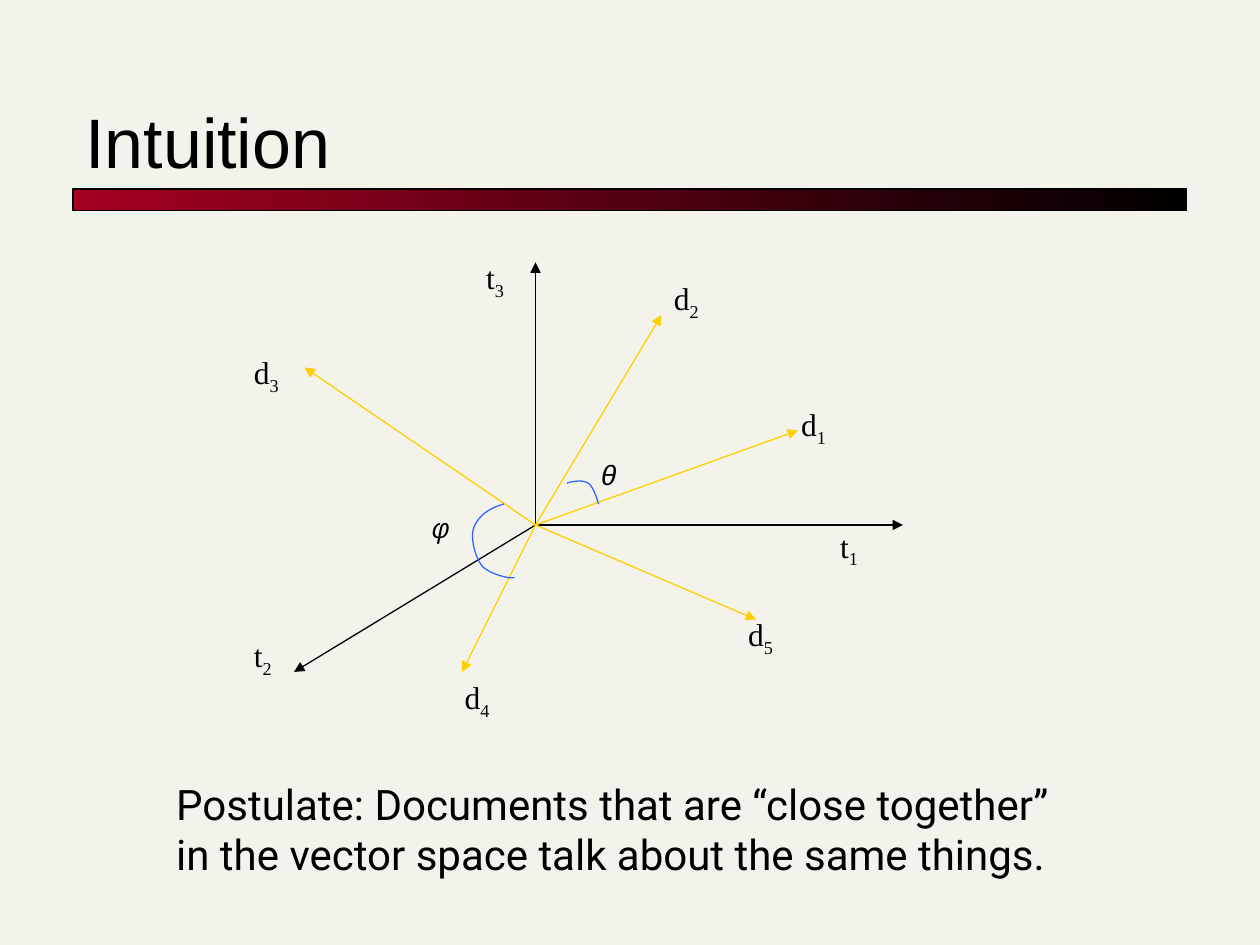
from lxml.etree import SubElement
from pptx import Presentation
from pptx.dml.color import RGBColor
from pptx.enum.shapes import MSO_CONNECTOR as Connector, MSO_SHAPE as Shape
from pptx.enum.text import MSO_ANCHOR as Anchor, MSO_AUTO_SIZE as AutoSize
from pptx.oxml.ns import qn
from pptx.util import Inches, Pt

CELL = 1 / 12
BLACK, GOLD, BLUE = "000000", "FFCF01", "3366FF"

AXES = [(35, 0), (0, -25), (-23, 14)]
VECTORS = [(25, -9), (21, 9), (12, -20), (-7, 14), (-22, -15)]
LABELS = [
    ("t", "1", 27.84, -0.44), ("d", "2", 12, -24), ("d", "1", 24.12, -12),
    ("d", "3", -28, -17), ("d", "4", -7.92, 14), ("d", "5", 19.08, 8),
    ("t", "3", -5.88, -26), ("t", "2", -28, 10),
]
LABEL_WIDTHS = {"t": 0.34, "d": 0.4}
ANGLES = [("θ", 5, -7), ("φ", -11, -2)]
ARCS = [
    [(3, -4), (3.72, -4.2), (4.44, -4.3), (5, -4),
     (5.5, -3.7), (5.9, -2.4), (6, -2)],
    [(-3, -2), (-3.7, -1.8), (-4.4, -1.5), (-5, -1),
     (-5.5, -0.5), (-6, 0.1), (-6, 1), (-6, 1.9), (-5.65, 3.3), (-5, 4),
     (-4.3, 4.7), (-2.3, 5.2), (-2, 5)],
]


def color(value):
    return RGBColor.from_string(value)


def style_line(line, value):
    line.color.rgb = color(value)
    line.width = Pt(0.75)


def style_span(span, font, size, italic=False):
    span.font.name = font
    span.font.size = Pt(size)
    span.font.italic = italic
    span.font.color.rgb = color(BLACK)


def add_text(page, box, lines, font, size, wrap=False, italic=False):
    frame = page.shapes.add_textbox(*map(Inches, box)).text_frame
    frame.word_wrap = wrap
    frame.auto_size = AutoSize.NONE
    frame.text = "\n".join(lines)
    for para in frame.paragraphs:
        for span in para.runs:
            style_span(span, font, size, italic)
    return frame


def add_heading(page, box):
    left, top, width, height = box
    rule_height = 0.17
    bar = page.shapes.add_shape(
        Shape.RECTANGLE, *map(Inches, (left, top + height, width, rule_height)))
    bar.shadow.inherit = False
    bar.fill.gradient()
    bar.fill.gradient_angle = 180
    for stop, value in zip(bar.fill.gradient_stops, (BLACK, "A50021")):
        stop.color.rgb = color(value)
    style_line(bar.line, BLACK)
    title = add_text(page, box, ["Intuition"], "Arial", 40, wrap=True)
    title.vertical_anchor = Anchor.BOTTOM


def add_arrow(page, start, end, value):
    arrow = page.shapes.add_connector(
        Connector.STRAIGHT, *map(Inches, (*start, *end)))
    style_line(arrow.line, value)
    SubElement(arrow.line._get_or_add_ln(), qn("a:tailEnd"), type="triangle")
    SubElement(arrow._element.spPr, qn("a:effectLst"))


def curve_points(controls, steps=10):
    points = [controls[0]]
    for first in range(0, len(controls) - 1, 3):
        segment = controls[first:first + 4]
        for step in range(1, steps + 1):
            t = step / steps
            weights = ((1 - t) ** 3, 3 * t * (1 - t) ** 2,
                       3 * t ** 2 * (1 - t), t ** 3)
            points.append(tuple(
                sum(weight * value for weight, value in zip(weights, axis))
                for axis in zip(*segment)))
    return points


def add_arc(page, points):
    start, *rest = [tuple(map(Inches, point)) for point in points]
    builder = page.shapes.build_freeform(*start)
    builder.add_line_segments(rest, close=False)
    arc = builder.convert_to_shape()
    arc.shadow.inherit = False
    arc.fill.background()
    style_line(arc.line, BLUE)


def add_vector_space(page, box):
    left, top, width, height = box
    origin = left + 28 * CELL, top + 26 * CELL

    def place(column, row):
        return origin[0] + column * CELL, origin[1] + row * CELL

    for ends, value in ((AXES, BLACK), (VECTORS, GOLD)):
        for end in ends:
            add_arrow(page, origin, place(*end), value)
    for letter, index, column, row in LABELS:
        label_box = (*place(column, row), LABEL_WIDTHS[letter], 0.44)
        frame = add_text(page, label_box, [letter], "Times New Roman", 18)
        subscript = frame.paragraphs[0].add_run()
        subscript.text = index
        style_span(subscript, "Times New Roman", 18)
        subscript._r.get_or_add_rPr().set("baseline", "-25000")
    for controls in ARCS:
        add_arc(page, curve_points([place(*point) for point in controls]))
    for symbol, column, row in ANGLES:
        add_text(page, (*place(column, row), 0.3, 0.37), [symbol],
                 "Courier New", 16, wrap=True, italic=True)


def add_postulate(page, box):
    add_text(page, box, [
        "Postulate: Documents that are “close together”",
        "in the vector space talk about the same things.",
    ], "Roboto", 24)


def main():
    deck = Presentation()
    deck.slide_width, deck.slide_height = Inches(10), Inches(7.5)
    page = deck.slides.add_slide(deck.slide_layouts[6])
    page.background.fill.solid()
    page.background.fill.fore_color.rgb = color("F4F3EB")
    add_heading(page, (0.58, 0.42, 8.84, 1.08))
    add_postulate(page, (1.3, 6.13, 7.62, 0.9))
    add_vector_space(page, (23 * CELL, 24 * CELL, 63 * CELL, 45 * CELL))
    deck.save("out.pptx")


if __name__ == "__main__":
    main()
